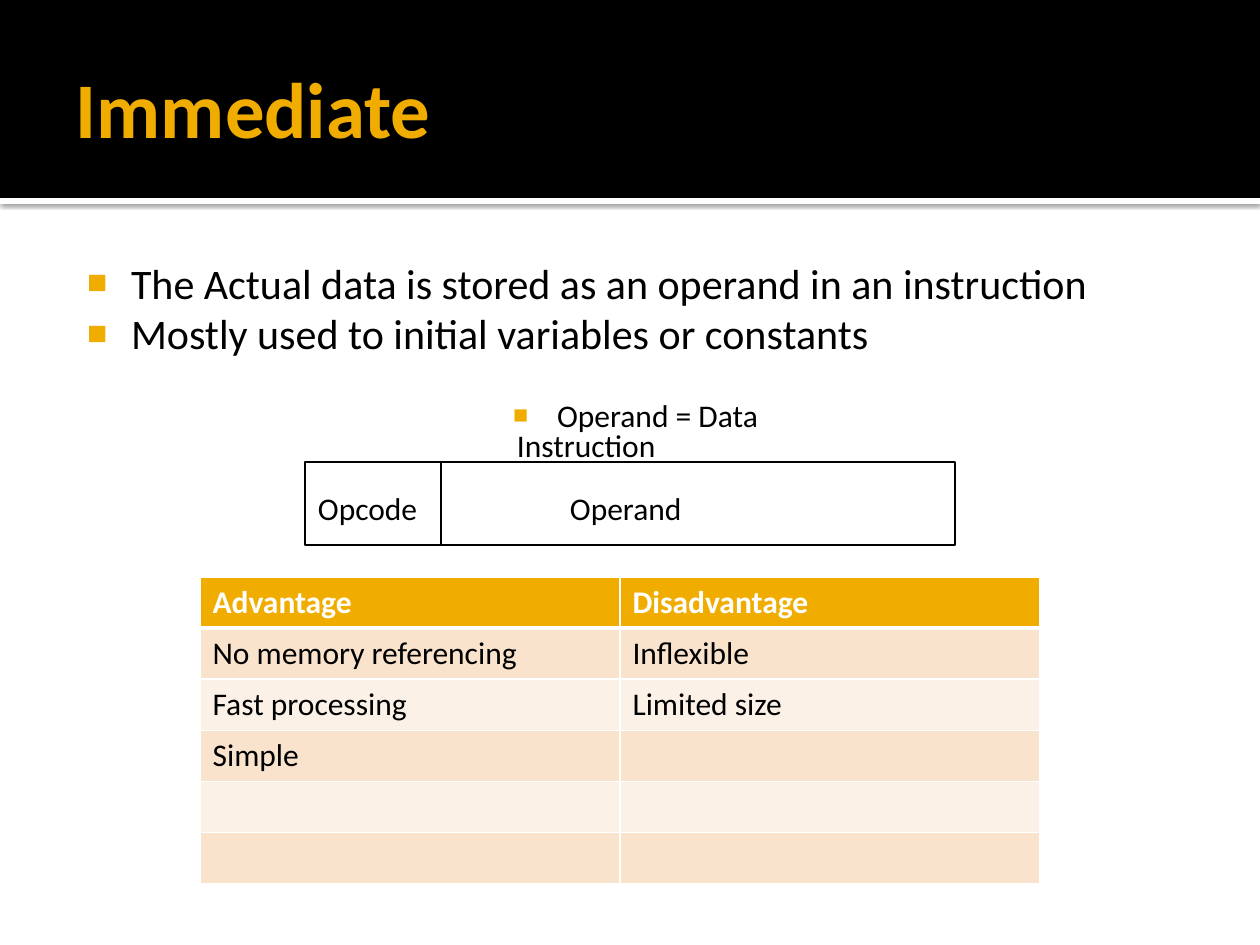
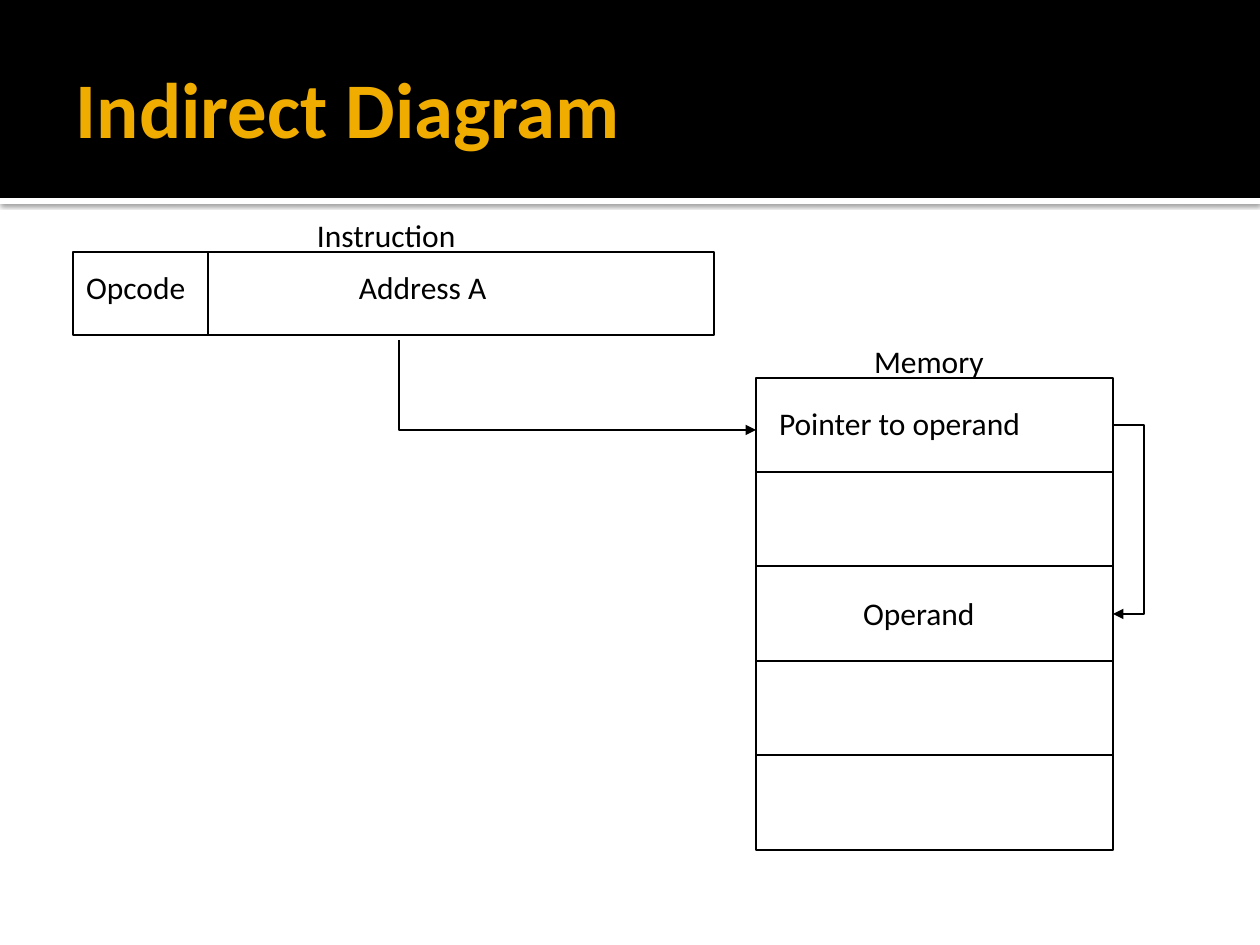
from dataclasses import dataclass
from itertools import product
from typing import NamedTuple

from lxml import etree
from pptx import Presentation
from pptx.dml.color import RGBColor
from pptx.enum.shapes import MSO_CONNECTOR, MSO_SHAPE
from pptx.enum.text import MSO_ANCHOR, MSO_AUTO_SIZE, PP_ALIGN
from pptx.oxml.ns import qn
from pptx.util import Emu, Pt

EMU_PER_PX = 914400 / 126
FONT = "Calibri"
BLACK = RGBColor(0x00, 0x00, 0x00)
WHITE = RGBColor(0xFF, 0xFF, 0xFF)
AMBER = RGBColor(0xF0, 0xAD, 0x00)
DARK_ROW = RGBColor(0xF9, 0xE3, 0xCC)
LIGHT_ROW = RGBColor(0xFC, 0xF1, 0xE7)

RECTANGLE = MSO_SHAPE.RECTANGLE
STRAIGHT = MSO_CONNECTOR.STRAIGHT
LEFT, CENTER = PP_ALIGN.LEFT, PP_ALIGN.CENTER
TOP, MIDDLE = MSO_ANCHOR.TOP, MSO_ANCHOR.MIDDLE
FIXED_SIZE = MSO_AUTO_SIZE.NONE

TITLE_ONLY, TITLE_AND_BODY = 5, 1


def px(length: float) -> Emu:
    return Emu(round(length * EMU_PER_PX))


class Box(NamedTuple):
    left: int
    top: int
    width: int
    height: int

    def emu(self) -> list[Emu]:
        return [px(length) for length in self]


class Insets(NamedTuple):
    left: int
    top: int
    right: int
    bottom: int


class Label(NamedTuple):
    text: str
    box: Box


@dataclass(frozen=True)
class Bullet:
    text: str
    size: int = 24
    align: PP_ALIGN = LEFT
    space_before: int = 0


@dataclass(frozen=True)
class InstructionFrame:
    """A rectangle split into an opcode part and an address or operand part."""
    box: Box
    divider: int


SLIDE = Box(0, 0, 1260, 945)
TITLE_BAND = Box(0, 0, 1260, 198)
WHITE_STRIP = Box(0, 198, 1260, 6)
TITLE_BOX = Box(63, 21, 1134, 173)
BODY_BOX = Box(63, 244, 1134, 638)
TITLE_INSETS = Insets(13, 6, 6, 6)
BODY_INSETS = Insets(8, 13, 13, 6)
LABEL_INSETS = Insets(13, 6, 13, 6)

BULLETS = [
    Bullet("The Actual data is stored as an operand in an instruction"),
    Bullet("Mostly used to initial variables or constants"),
    Bullet("Operand = Data", 18, CENTER, 22),
]
IMMEDIATE_FRAME = InstructionFrame(Box(305, 462, 650, 83), 441)
IMMEDIATE_LABELS = [
    Label("Operand", Box(557, 483, 170, 63)),
    Label("Opcode", Box(305, 483, 155, 63)),
    Label("Instruction", Box(504, 420, 207, 50)),
]
TABLE_BOX = Box(200, 577, 840, 306)
TABLE_ROWS = [
    ("Advantage", "Disadvantage"),
    ("No memory referencing", "Inflexible"),
    ("Fast processing", "Limited size"),
    ("Simple", ""),
    ("", ""),
    ("", ""),
]

INDIRECT_FRAME = InstructionFrame(Box(73, 252, 641, 83), 208)
INDIRECT_LABELS = [
    Label("Address A", Box(346, 262, 204, 63)),
    Label("Opcode", Box(73, 262, 155, 63)),
    Label("Instruction", Box(304, 210, 207, 63)),
    Label("Memory", Box(861, 336, 170, 63)),
    Label("Operand", Box(850, 588, 170, 63)),
    Label("Pointer to operand", Box(766, 398, 335, 63)),
]
MEMORY = Box(756, 378, 357, 472)
MEMORY_CELLS = 5
ARROWS = [
    [(399, 340), (399, 430), (756, 430)],
    [(1113, 425), (1144, 425), (1144, 614), (1113, 614)],
]


def add_xml(parent, tag: str, **attributes):
    return etree.SubElement(parent, qn(tag), attributes)


def add_color(parent, color: RGBColor):
    return add_xml(parent, "a:srgbClr", val=str(color))


def set_font(paragraph, size: int, color: RGBColor = BLACK, bold: bool = False) -> None:
    font = paragraph.font
    font.name, font.size, font.bold = FONT, Pt(size), bold
    font.color.rgb = color


def set_frame(frame, insets: Insets, anchor: MSO_ANCHOR = TOP) -> None:
    frame.word_wrap = True
    frame.auto_size = FIXED_SIZE
    frame.vertical_anchor = anchor
    frame.margin_left, frame.margin_top = px(insets.left), px(insets.top)
    frame.margin_right, frame.margin_bottom = px(insets.right), px(insets.bottom)


def place(shape, box: Box) -> None:
    shape.left, shape.top, shape.width, shape.height = box.emu()


def set_outline(shape) -> None:
    shape.line.color.rgb = BLACK
    shape.line.width = Pt(1)


def add_outlined_box(shapes, box: Box) -> None:
    shape = shapes.add_shape(RECTANGLE, *box.emu())
    shape.shadow.inherit = False
    shape.fill.background()
    set_outline(shape)


def add_master_bands(deck, slide) -> None:
    """Draw the bands on a slide, then move them behind everything on the master."""
    master_tree = deck.slide_master.shapes.element
    bands = [(WHITE_STRIP, WHITE), (TITLE_BAND, BLACK)]
    for index, (box, color) in enumerate(bands):
        band = slide.shapes.add_shape(RECTANGLE, *box.emu())
        band.shadow.inherit = False
        band.fill.solid()
        band.fill.fore_color.rgb = color
        band.line.fill.background()
        if box is WHITE_STRIP:
            effects = band.element.spPr.find(qn("a:effectLst"))
            shadow = add_xml(effects, "a:outerShdw", blurRad=str(Pt(2.5)),
                             dist=str(Pt(0.8)), dir="5400000", rotWithShape="0")
            add_xml(add_color(shadow, BLACK), "a:alpha", val="60000")
        band.element.nvSpPr.cNvPr.set("id", str(100 + index))
        master_tree.insert(2 + index, band.element)


def add_slide(deck, layout: int, title: str):
    slide = deck.slides.add_slide(deck.slide_layouts[layout])
    heading = slide.shapes.title
    place(heading, TITLE_BOX)
    set_frame(heading.text_frame, TITLE_INSETS, MIDDLE)
    heading.text_frame.text = title
    para = heading.text_frame.paragraphs[0]
    para.alignment = LEFT
    set_font(para, 45, AMBER, bold=True)
    return slide


def fill_body(body, bullets: list[Bullet]) -> None:
    place(body, BODY_BOX)
    frame = body.text_frame
    set_frame(frame, BODY_INSETS)
    frame.text = "\n".join(bullet.text for bullet in bullets)
    for para, bullet in zip(frame.paragraphs, bullets):
        properties = para._p.get_or_add_pPr()
        properties.set("marL", str(px(60)))
        properties.set("indent", str(-px(44)))
        add_color(add_xml(properties, "a:buClr"), AMBER)
        add_xml(properties, "a:buSzPct", val="80000")
        add_xml(properties, "a:buChar", char="■")
        para.alignment = bullet.align
        para.space_before = Pt(bullet.space_before)
        set_font(para, bullet.size)


def add_instruction(slide, instruction: InstructionFrame) -> None:
    group = slide.shapes.add_group_shape()
    box, x = instruction.box, px(instruction.divider)
    add_outlined_box(group.shapes, box)
    divider = group.shapes.add_connector(STRAIGHT, x, px(box.top), x, px(box.top + box.height))
    set_outline(divider)
    add_xml(divider.element.spPr, "a:effectLst")


def add_labels(slide, labels: list[Label]) -> None:
    for label in labels:
        frame = slide.shapes.add_textbox(*label.box.emu()).text_frame
        set_frame(frame, LABEL_INSETS)
        frame.text = label.text
        set_font(frame.paragraphs[0], 18)


def set_borders(cell, top: int, bottom: int) -> None:
    properties = cell._tc.get_or_add_tcPr()
    for side, width in zip("LRTB", (1, 1, top, bottom)):
        border = add_xml(properties, f"a:ln{side}", w=str(Pt(width)))
        add_color(add_xml(border, "a:solidFill"), WHITE)


def add_comparison_table(slide) -> None:
    row_count, column_count = len(TABLE_ROWS), len(TABLE_ROWS[0])
    table = slide.shapes.add_table(row_count, column_count, *TABLE_BOX.emu()).table
    for row, column in product(range(row_count), range(column_count)):
        cell = table.cell(row, column)
        header = row == 0
        set_borders(cell, top=3 if row == 1 else 1, bottom=3 if header else 1)
        cell.fill.solid()
        cell.fill.fore_color.rgb = AMBER if header else DARK_ROW if row % 2 else LIGHT_ROW
        cell.text = TABLE_ROWS[row][column]
        set_font(cell.text_frame.paragraphs[0], 18, WHITE if header else BLACK, bold=header)


def add_memory(slide) -> None:
    edges = [MEMORY.top + MEMORY.height * i // MEMORY_CELLS for i in range(MEMORY_CELLS + 1)]
    for top, bottom in zip(edges, edges[1:]):
        add_outlined_box(slide.shapes, Box(MEMORY.left, top, MEMORY.width, bottom - top))


def add_bent_arrow(slide, points: list[tuple[int, int]]) -> None:
    builder = slide.shapes.build_freeform(*points[0], scale=EMU_PER_PX)
    builder.add_line_segments(points[1:], close=False)
    arrow = builder.convert_to_shape()
    arrow.shadow.inherit = False
    arrow.fill.background()
    set_outline(arrow)
    add_xml(arrow.element.spPr.find(qn("a:ln")), "a:tailEnd", type="triangle")


def build_immediate(deck) -> None:
    slide = add_slide(deck, TITLE_AND_BODY, "Immediate")
    add_master_bands(deck, slide)
    fill_body(slide.placeholders[1], BULLETS)
    add_comparison_table(slide)
    add_instruction(slide, IMMEDIATE_FRAME)
    add_labels(slide, IMMEDIATE_LABELS)


def build_indirect(deck) -> None:
    slide = add_slide(deck, TITLE_ONLY, "Indirect Diagram")
    add_instruction(slide, INDIRECT_FRAME)
    add_memory(slide)
    for points in ARROWS:
        add_bent_arrow(slide, points)
    add_labels(slide, INDIRECT_LABELS)


def main() -> None:
    deck = Presentation()
    deck.slide_width, deck.slide_height = px(SLIDE.width), px(SLIDE.height)
    build_immediate(deck)
    build_indirect(deck)
    deck.save("out.pptx")


if __name__ == "__main__":
    main()
